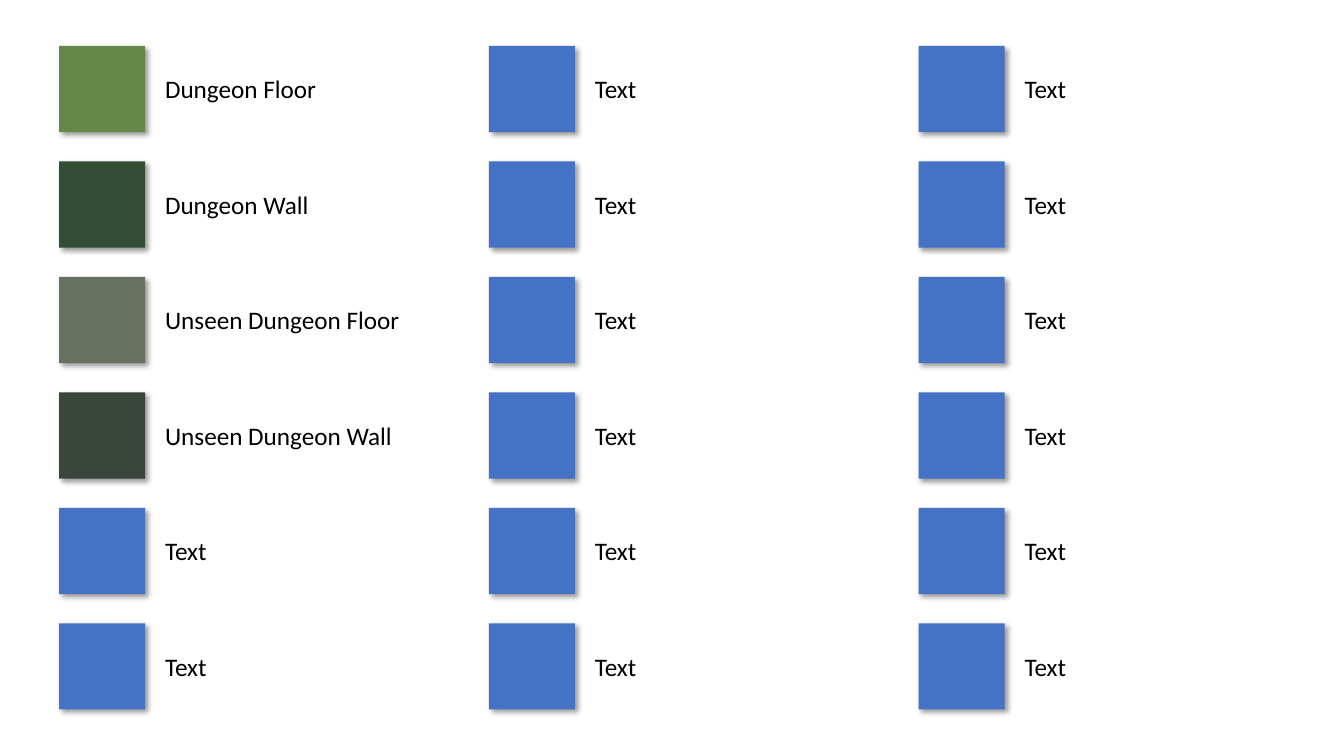
"""Build a colour legend of labelled swatches in three columns and six rows."""
from lxml import etree
from pptx import Presentation
from pptx.dml.color import RGBColor
from pptx.enum.shapes import MSO_SHAPE
from pptx.enum.text import MSO_AUTO_SIZE
from pptx.oxml import parse_xml
from pptx.oxml.ns import nsdecls, qn
from pptx.util import Cm, Pt

RECTANGLE = MSO_SHAPE.RECTANGLE
FIT_SHAPE = MSO_AUTO_SIZE.SHAPE_TO_FIT_TEXT

COLUMNS, ROWS = 3, 6
LEFT, TOP = 1.49, 1.16
COLUMN_STEP, ROW_STEP = 10.83, 2.91
SWATCH_SIZE = 2.17
LABEL_DX, LABEL_DY, LABEL_HEIGHT = 2.42, 0.57, 1.03

SHADOW = (
    f'<a:outerShdw {nsdecls("a")} blurRad="50800" dist="38100" dir="2700000" '
    'algn="tl" rotWithShape="0"><a:srgbClr val="000000">'
    '<a:alpha val="40000"/></a:srgbClr></a:outerShdw>'
)


def color(hex_string):
    return RGBColor.from_string(hex_string)


terrains = [
    ("Dungeon Floor", "638848", 4.37),
    ("Dungeon Wall", "324E35", 4.17),
    ("Unseen Dungeon Floor", "67715F", 6.5),
    ("Unseen Dungeon Wall", "3A463B", 6.3),
]
unused = ("Text", "4472C4", 1.57)
entries = terrains + [unused] * (COLUMNS * ROWS - len(terrains))

presentation = Presentation()
presentation.slide_width = Cm(33.87)
presentation.slide_height = Cm(19.05)
slide = presentation.slides.add_slide(presentation.slide_layouts[6])

for index, (name, fill, label_width) in enumerate(entries):
    column, row = divmod(index, ROWS)
    x = LEFT + column * COLUMN_STEP
    y = TOP + row * ROW_STEP

    swatch = slide.shapes.add_shape(
        RECTANGLE, Cm(x), Cm(y), Cm(SWATCH_SIZE), Cm(SWATCH_SIZE))
    swatch.fill.solid()
    swatch.fill.fore_color.rgb = color(fill)
    swatch.line.fill.background()
    swatch.shadow.inherit = False
    effects = swatch.element.spPr.find(qn("a:effectLst"))
    effects.append(parse_xml(etree.tostring(etree.fromstring(SHADOW))))

    label = slide.shapes.add_textbox(
        Cm(x + LABEL_DX), Cm(y + LABEL_DY), Cm(label_width), Cm(LABEL_HEIGHT))
    label.text_frame.word_wrap = False
    label.text_frame.auto_size = FIT_SHAPE
    caption = label.text_frame.paragraphs[0]
    caption.text = name
    caption.font.name = "Calibri"
    caption.font.size = Pt(18)
    caption.font.color.rgb = color("000000")

presentation.save("out.pptx")
